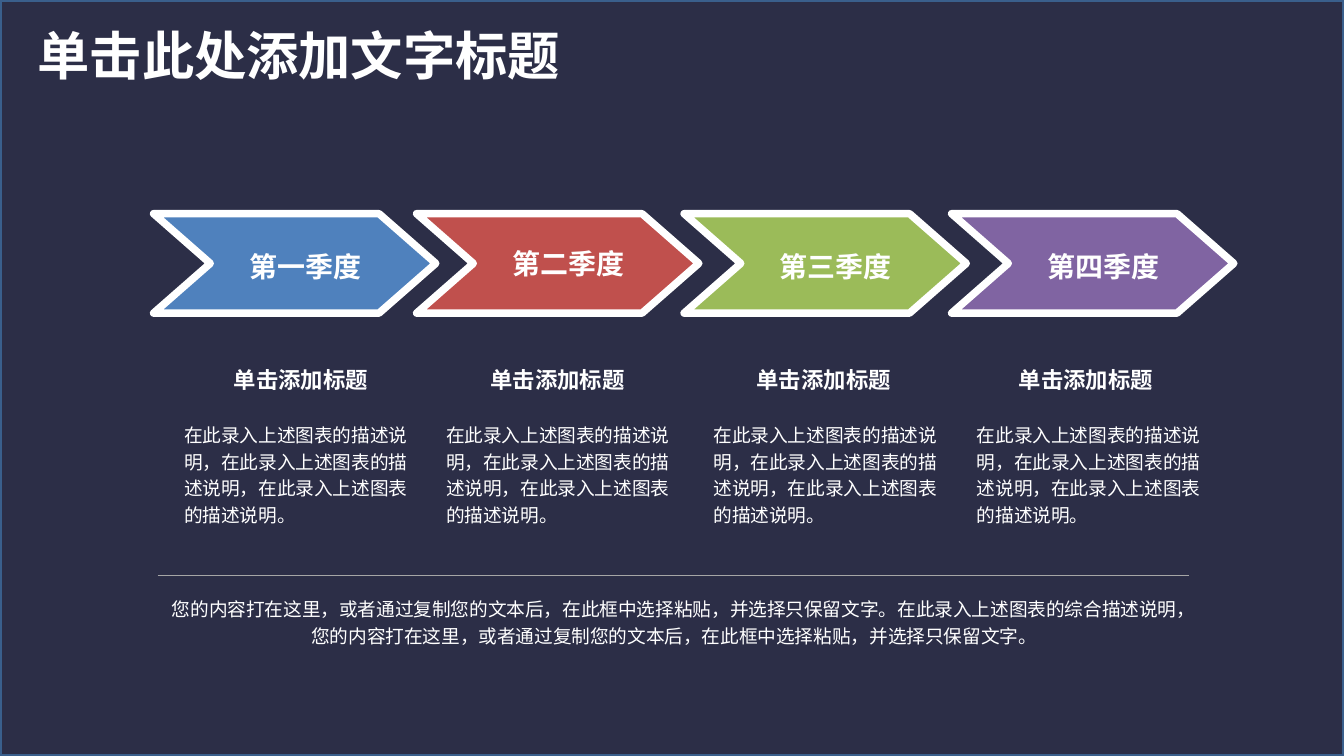
from lxml import etree
from pptx import Presentation
from pptx import util as u
from pptx.dml import color
from pptx.enum import shapes, text
from pptx.oxml import ns

Pt = u.Pt
COLORS = {
    "navy": "2C2E47", "border": "3A5F8C", "white": "FFFFFF", "rule": "A6A6A6",
    "blue": "4F81BD", "red": "C0504D", "green": "9BBB59", "purple": "8064A2",
}
CJK = "Noto Sans CJK SC"
QUARTERS = [
    ("第一季度", "blue", 82.3, 119.5, 93.6, 1.2),
    ("第二季度", "red", 223.2, 257, 234, 1),
    ("第三季度", "green", 366.5, 399.6, 377.3, 1.2),
    ("第四季度", "purple", 509.8, 540, 518.4, 1.2),
]
HEADING = "单击添加标题"
DESCRIPTION = "，".join(["在此录入上述图表的描述说明"] * 3) + "。"
PASTE = "您的内容打在这里，或者通过复制您的文本后，在此框中选择粘贴，并选择只保留文字。"
SUMMARY = PASTE + "在此录入上述图表的综合描述说明，" + PASTE


def rgb(name):
    return color.RGBColor.from_string(COLORS[name])


def write(sp, content, size, font=CJK, bold=False, align=text.PP_ALIGN.LEFT,
          spacing=1, anchor=text.MSO_ANCHOR.TOP, wrap=True, inset=(5, 2.7)):
    tf = sp.text_frame
    tf.text = content
    tf.word_wrap = wrap
    tf.auto_size = text.MSO_AUTO_SIZE.NONE
    tf.vertical_anchor = anchor
    tf.margin_left = tf.margin_right = Pt(inset[0])
    tf.margin_top = tf.margin_bottom = Pt(inset[1])
    p = tf.paragraphs[0]
    p.alignment = align
    p.line_spacing = spacing
    f = p.runs[0].font
    f.size, f.bold, f.name = Pt(size), bold, font
    f.color.rgb = rgb("white")
    latin = sp.element.find(".//" + ns.qn("a:latin"))
    latin.addnext(etree.Element(ns.qn("a:ea"), typeface=CJK))


def add_text(container, x, y, w, h, content, size, **style):
    sp = container.add_textbox(Pt(x), Pt(y), Pt(w), Pt(h))
    write(sp, content, size, **style)


def add_header(s, x, y, w, h):
    title = s.shapes.title
    title.left, title.top, title.width, title.height = Pt(x), Pt(y), Pt(w), Pt(h)
    write(title, "单击此处添加文字标题", 28, bold=True, wrap=False, inset=(7.2, 3.6))


def add_backdrop(s, w, h):
    s.background.fill.solid()
    s.background.fill.fore_color.rgb = rgb("navy")
    sp = s.shapes.add_shape(shapes.MSO_SHAPE.RECTANGLE, 0, 0, Pt(w), Pt(h))
    sp.shadow.inherit = False
    sp.fill.solid()
    sp.fill.fore_color.rgb = rgb("navy")
    sp.line.color.rgb = rgb("border")
    sp.line.width = Pt(2)
    s.shapes.title.element.addprevious(sp.element)


def add_arrow(s, x, y, w, h, label, fill, spacing):
    group = s.shapes.add_group_shape()
    notch = 30.4
    outline = [(x + w - notch, y), (x + w, y + h / 2), (x + w - notch, y + h),
               (x, y + h), (x + notch, y + h / 2)]
    builder = group.shapes.build_freeform(Pt(x), Pt(y))
    builder.add_line_segments([(Pt(px), Pt(py)) for px, py in outline], close=True)
    sp = builder.convert_to_shape()
    sp.shadow.inherit = False
    sp.fill.solid()
    sp.fill.fore_color.rgb = rgb(fill)
    sp.line.color.rgb = rgb("white")
    sp.line.width = Pt(4)
    add_text(group.shapes, x + 17.2, y + 12.2, 128, 28.8, label, 15, font="Arial",
             bold=True, align=text.PP_ALIGN.CENTER, spacing=spacing,
             anchor=text.MSO_ANCHOR.MIDDLE, inset=(7.2, 3.6))


def add_quarter(s, y, label, fill, arrow_x, heading_x, body_x, spacing):
    add_arrow(s, arrow_x, y, 151.2, 53.3, label, fill, spacing)
    add_text(s.shapes, heading_x, y + 79.2, 83.5, 20.2, HEADING, 12, bold=True,
             align=text.PP_ALIGN.CENTER, wrap=False)
    add_text(s.shapes, body_x, y + 107.3, 131.5, 63.4, DESCRIPTION, 10, spacing=1.2)


def add_summary(s, x, y, w, h):
    rule = s.shapes.add_connector(shapes.MSO_CONNECTOR.STRAIGHT,
                                  Pt(x + 0.7), Pt(y), Pt(x + w - 1), Pt(y))
    rule.line.color.rgb = rgb("rule")
    rule.line.width = Pt(0.75)
    etree.SubElement(rule.element.spPr, ns.qn("a:effectLst"))
    add_text(s.shapes, x, y + 7.2, w, h - 7.2, SUMMARY, 10,
             align=text.PP_ALIGN.CENTER, spacing=1.2)


def main():
    prs = Presentation()
    prs.slide_width, prs.slide_height = Pt(720), Pt(405)
    s = prs.slides.add_slide(prs.slide_layouts[5])
    add_header(s, 13, 8.6, 297.4, 41)
    add_backdrop(s, 720, 405)
    for quarter in QUARTERS:
        add_quarter(s, 114.5, *quarter)
    add_summary(s, 83.8, 308.2, 554.4, 41.8)
    prs.save("out.pptx")


if __name__ == "__main__":
    main()
